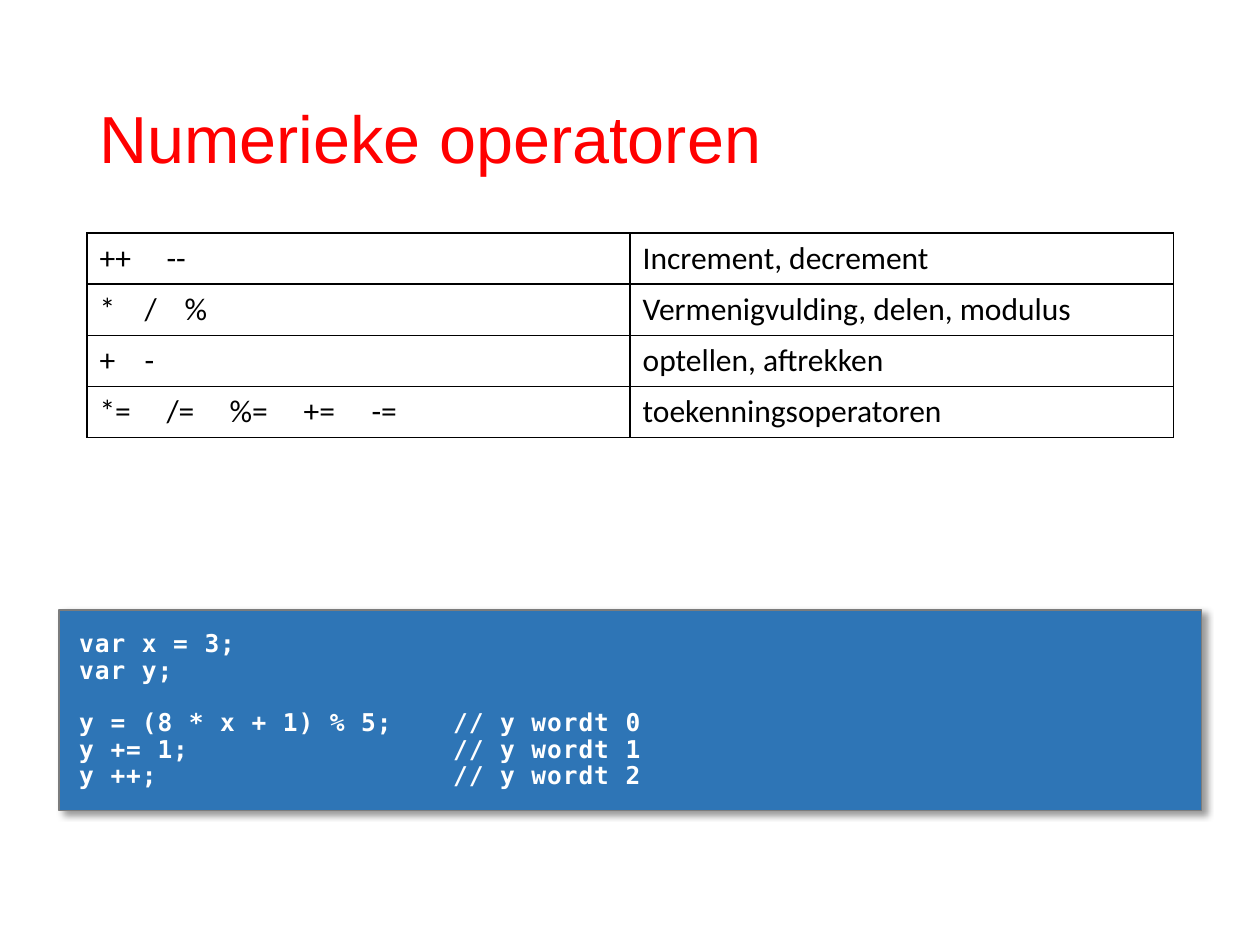
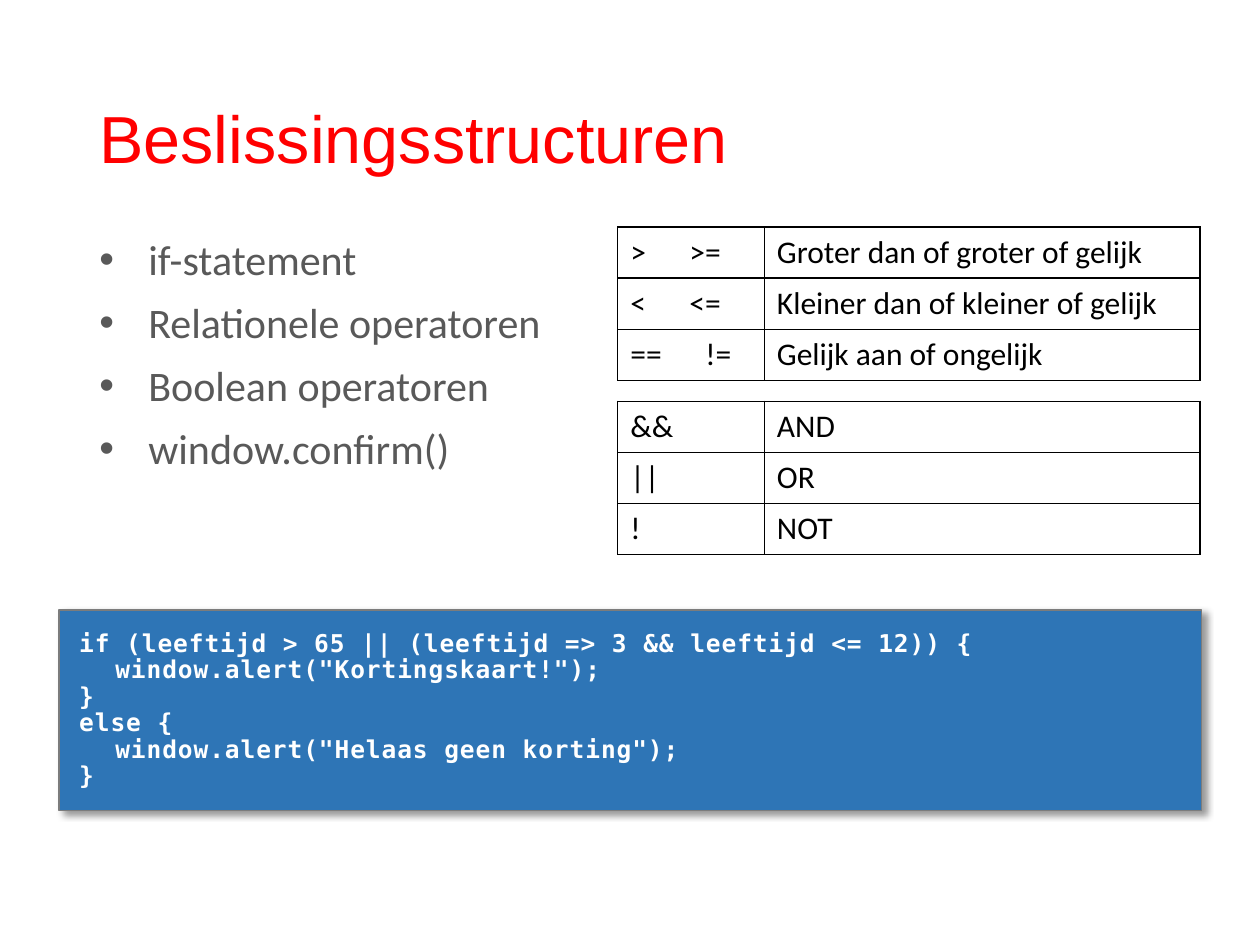
from lxml import etree
from pptx import Presentation
from pptx.dml.color import RGBColor
from pptx.enum import shapes, text
from pptx.oxml import ns
from pptx.util import Pt

RED, GREY, BLACK, WHITE = "FF0000", "595959", "000000", "FFFFFF"
CODE_FILL, CODE_LINE = "2E75B6", "7C7C7C"
ROW_HEIGHT = 29.2


def add_xml(parent, tag, **attributes):
    return etree.SubElement(parent, ns.qn(tag), {k: str(v) for k, v in attributes.items()})


def style(para, size, font, color, stops=()):
    if stops:
        tabs = add_xml(para._p.get_or_add_pPr(), "a:tabLst")
        for stop in stops:
            add_xml(tabs, "a:tab", pos=Pt(stop), algn="l")
    para.font.size = Pt(size)
    para.font.name = font
    para.font.color.rgb = RGBColor.from_string(color)


slides = [
    {
        "title": "Numerieke operatoren",
        "bullets": [],
        "tables": [
            (49.7, 133.2, (310.4, 310.4), [
                ("++\t--", "Increment, decrement", (38.3,)),
                ("*\t/\t%", "Vermenigvulding, delen, modulus", (25.7, 48.6)),
                ("+\t-", "optellen, aftrekken", (25.7,)),
                ("*=\t/=\t%=\t+=\t-=", "toekenningsoperatoren", (38.3, 74.3, 116.6, 155.4)),
            ]),
        ],
        "code": [
            "var x = 3;",
            "var y;",
            "y = (8 * x + 1) % 5;\t// y wordt 0",
            "y += 1;\t// y wordt 1",
            "y ++;\t// y wordt 2",
        ],
        "code_stop": 213.7,
        "code_gap_before": 2,
    },
    {
        "title": "Beslissingsstructuren",
        "bullets": ["if-statement", "Relationele operatoren", "Boolean operatoren", "window.confirm()"],
        "tables": [
            (353, 129.8, (83.8, 249), [
                (">\t>=", "Groter dan of groter of gelijk", (33.7,)),
                ("<\t<=", "Kleiner dan of kleiner of gelijk", (33.7,)),
                ("==\t!=", "Gelijk aan of ongelijk", (42.9,)),
            ]),
            (353, 229.3, (83.8, 249), [
                ("&&", "AND", ()),
                ("||", "OR", ()),
                ("!", "NOT", ()),
            ]),
        ],
        "code": [
            "if (leeftijd > 65 || (leeftijd => 3 && leeftijd <= 12)) {",
            "\twindow.alert(\"Kortingskaart!\");",
            "}",
            "else {",
            "\twindow.alert(\"Helaas geen korting\");",
            "}",
        ],
        "code_stop": 20.6,
        "code_gap_before": None,
    },
]

deck = Presentation()
deck.slide_width, deck.slide_height = Pt(720), Pt(540)

for content in slides:
    page = deck.slides.add_slide(deck.slide_layouts[6])

    title = page.shapes.add_textbox(Pt(49.7), Pt(28.8), Pt(620.6), Pt(104.4)).text_frame
    title.word_wrap = True
    title.vertical_anchor = text.MSO_ANCHOR.MIDDLE
    title.text = content["title"]
    title.paragraphs[0].line_spacing = 0.9
    style(title.paragraphs[0], 38, "Arial", RED)

    if content["bullets"]:
        body = page.shapes.add_textbox(Pt(49.7), Pt(133.2), Pt(620.6), Pt(151.2)).text_frame
        body.word_wrap = True
        body.text = "\n".join(content["bullets"])
        for para in body.paragraphs:
            properties = para._p.get_or_add_pPr()
            properties.set("marL", str(Pt(28)))
            properties.set("indent", str(Pt(-28)))
            add_xml(properties, "a:buFont", typeface="Arial")
            add_xml(properties, "a:buChar", char="•")
            para.line_spacing = 0.9
            para.space_before = Pt(10)
            style(para, 24, "Calibri", GREY)

    box = page.shapes.add_shape(shapes.MSO_SHAPE.RECTANGLE, Pt(33.8), Pt(348.5), Pt(653), Pt(114.5))
    box.fill.solid()
    box.fill.fore_color.rgb = RGBColor.from_string(CODE_FILL)
    box.line.color.rgb = RGBColor.from_string(CODE_LINE)
    box.line.width = Pt(0.75)
    box.shadow.inherit = False
    effects = box._element.spPr.find(ns.qn("a:effectLst"))
    shadow = add_xml(effects, "a:outerShdw", blurRad=Pt(4), dist=Pt(3), dir=45 * 60000, algn="tl", rotWithShape=0)
    add_xml(add_xml(shadow, "a:srgbClr", val=BLACK), "a:alpha", val=40000)
    code = box.text_frame
    code.word_wrap = True
    code.vertical_anchor = text.MSO_ANCHOR.BOTTOM
    code.margin_left = code.margin_right = code.margin_top = code.margin_bottom = Pt(11.5)
    code.text = "\n".join(content["code"])
    for index, para in enumerate(code.paragraphs):
        para.alignment = text.PP_ALIGN.LEFT
        para.line_spacing = 0.9
        para.space_before = Pt(15 if index == content["code_gap_before"] else 0)
        style(para, 14, "DejaVu Sans Mono", WHITE, [content["code_stop"]])
        para.font.bold = True
        para.font._element.set("spc", "50")

    for left, top, widths, rows in content["tables"]:
        table = page.shapes.add_table(
            len(rows), 2, Pt(left), Pt(top), Pt(sum(widths)), Pt(ROW_HEIGHT * len(rows))).table
        table.first_row = table.horz_banding = False
        for column, width in zip(table.columns, widths):
            column.width = Pt(width)
        for row, (operators, meaning, stops) in zip(table.rows, rows):
            row.height = Pt(ROW_HEIGHT)
            for cell, words, cell_stops in zip(row.cells, (operators, meaning), (stops, ())):
                cell.text = words
                style(cell.text_frame.paragraphs[0], 18, "Calibri", BLACK, cell_stops)
                for side in "LRTB":
                    border = add_xml(cell._tc.get_or_add_tcPr(), f"a:ln{side}", w=Pt(1))
                    add_xml(add_xml(border, "a:solidFill"), "a:srgbClr", val=BLACK)
                cell.fill.background()

deck.save("out.pptx")
